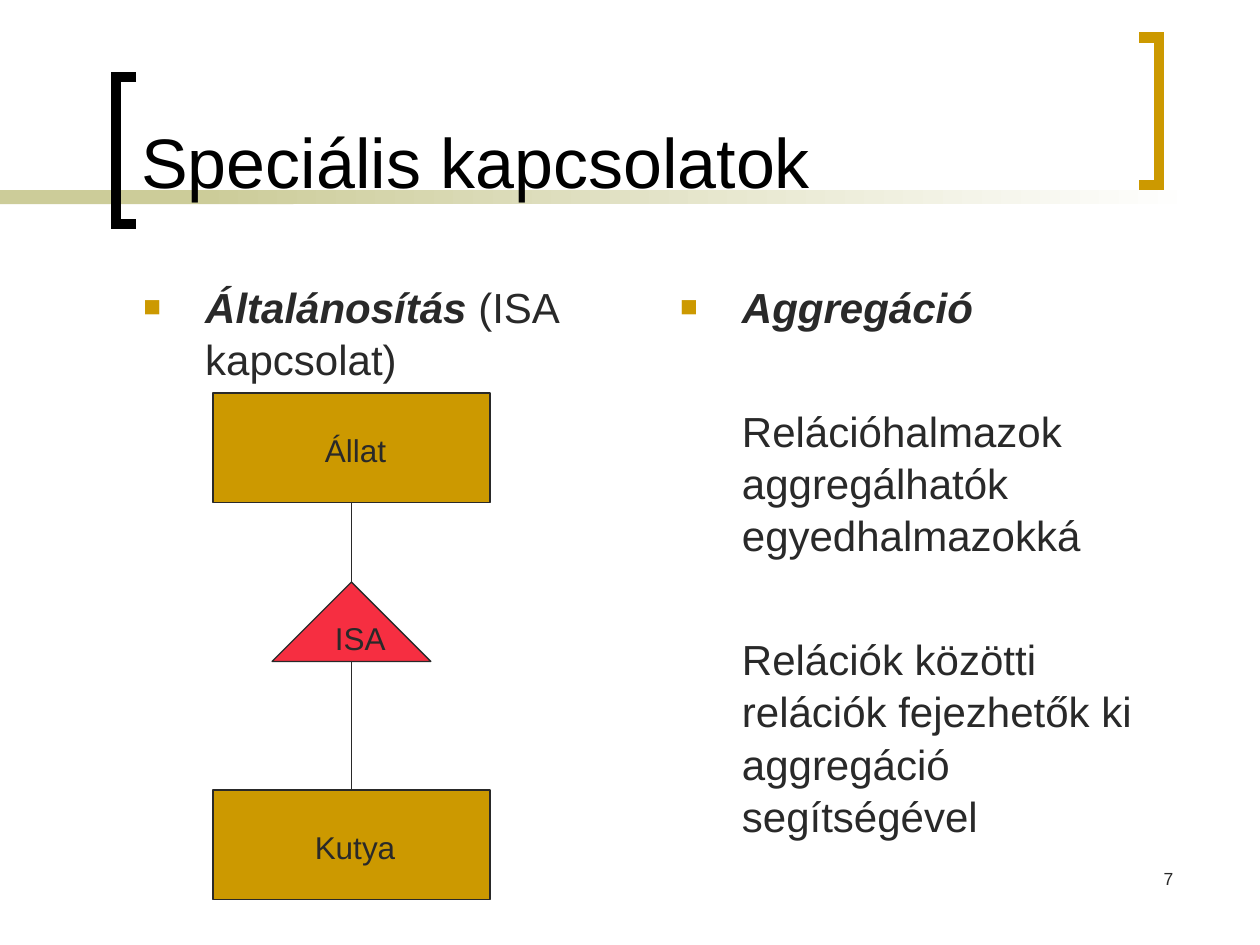
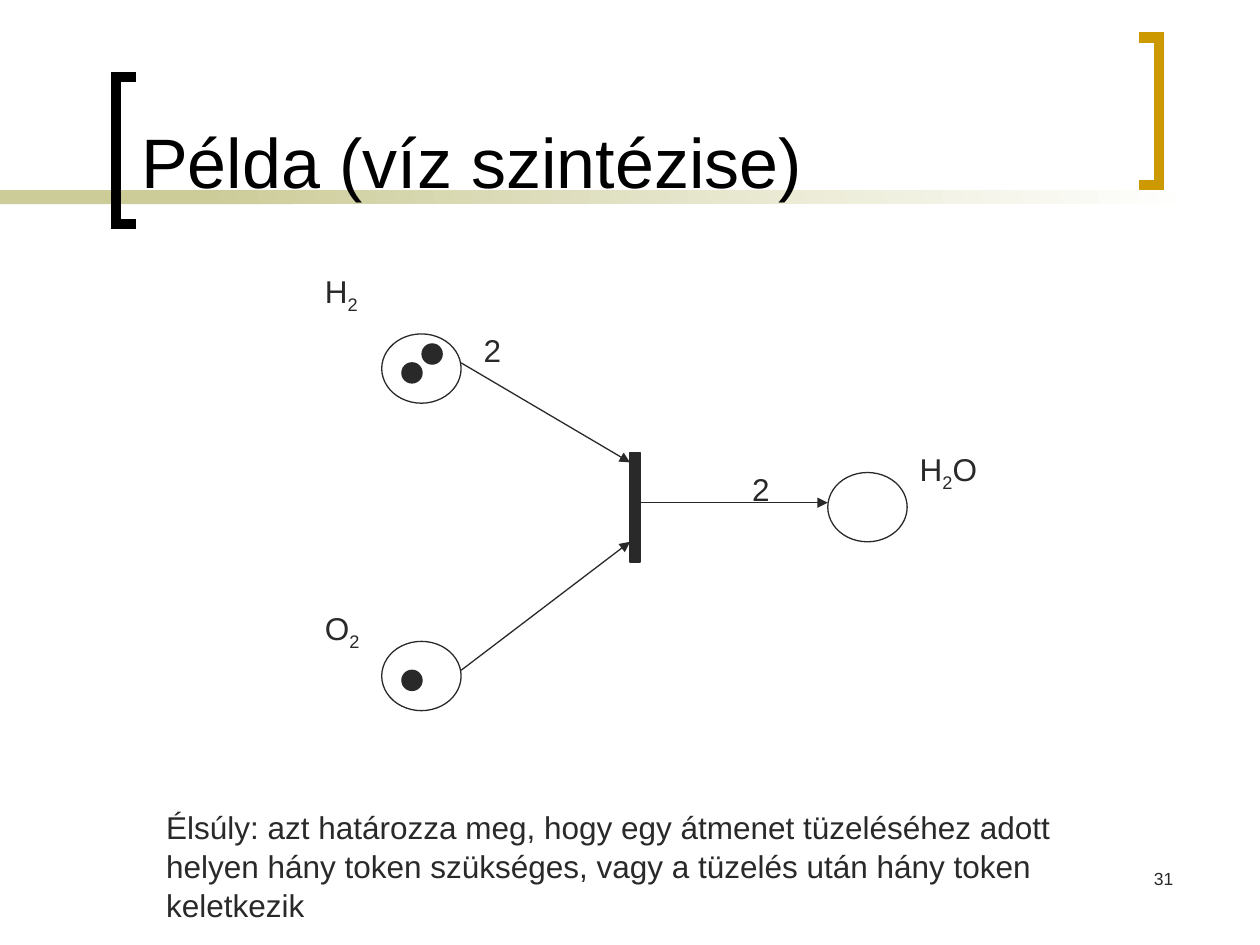
from lxml import etree
from pptx import Presentation
from pptx.dml.color import RGBColor
from pptx.enum.shapes import MSO_CONNECTOR, MSO_SHAPE
from pptx.enum.text import MSO_ANCHOR, PP_ALIGN
from pptx.oxml.ns import qn
from pptx.util import Inches, Pt

RECT, OVAL, TRIANGLE = MSO_SHAPE.RECTANGLE, MSO_SHAPE.OVAL, MSO_SHAPE.ISOSCELES_TRIANGLE
STRAIGHT = MSO_CONNECTOR.STRAIGHT
LEFT, RIGHT = PP_ALIGN.LEFT, PP_ALIGN.RIGHT
BOTTOM = MSO_ANCHOR.BOTTOM

FONT = "Arial"
INK, BLACK, WHITE = "292929", "000000", "FFFFFF"
GOLD, RED, SAND = "CC9900", "F62E41", "CCCC99"
TITLE_ONLY = 5
TOP_SITE, BOTTOM_SITE = 0, 2


def rgb(color):
    return RGBColor.from_string(color)


def xml_child(parent, tag, **attrs):
    return etree.SubElement(parent, qn(tag), attrs)


class Deck:
    """Holds the deck style and the slide being drawn."""

    def __init__(self):
        self.prs = Presentation()
        self.prs.slide_width, self.prs.slide_height = Inches(10), Inches(7.5)
        self.s = None

    def slide(self, title, number):
        self.s = self.prs.slides.add_slide(self.prs.slide_layouts[TITLE_ONLY])
        self.shape(RECT, 0, 1.51, 2.33, 0.11, SAND, None)
        fade = self.shape(RECT, 1.58, 1.51, 7.92, 0.11, SAND, None)
        fade.fill.gradient()
        fade.fill.gradient_angle = 0
        for stop, color in zip(fade.fill.gradient_stops, (SAND, WHITE)):
            stop.color.rgb = rgb(color)
        self.bracket(1.08, 0.92, 0.61, BLACK)
        self.bracket(9.04, 9.2, 0.3, GOLD)
        self.text(7.33, 6.83, 2.08, 0.5, number, 10, RIGHT)
        self.title(title)

    def title(self, text):
        sp = self.s.shapes.title
        self.s.shapes.element.append(sp.element)
        sp.left, sp.top, sp.width, sp.height = map(Inches, (1.02, 0.11, 7.83, 1.55))
        tf = sp.text_frame
        tf.text, tf.vertical_anchor = text, BOTTOM
        p = tf.paragraphs[0]
        p.alignment = LEFT
        self.font(p, 40, BLACK)

    def font(self, p, size, color=INK):
        p.font.name, p.font.size = FONT, Pt(size)
        p.font.color.rgb = rgb(color)

    def bracket(self, tip, spine, top, color):
        bottom = top + 1.17
        points = [(tip, top), (spine, top), (spine, bottom), (tip, bottom)]
        start, *rest = [(Inches(x), Inches(y)) for x, y in points]
        builder = self.s.shapes.build_freeform(*start)
        builder.add_line_segments(rest, close=False)
        sp = builder.convert_to_shape()
        sp.shadow.inherit = False
        sp.fill.background()
        sp.line.color.rgb, sp.line.width = rgb(color), Pt(6)
        xml_child(sp.line._get_or_add_ln(), "a:miter", lim="800000")

    def shape(self, kind, x, y, w, h, fill, line=INK):
        sp = self.s.shapes.add_shape(kind, *map(Inches, (x, y, w, h)))
        sp.shadow.inherit = False
        sp.fill.solid()
        sp.fill.fore_color.rgb = rgb(fill)
        if line:
            sp.line.color.rgb, sp.line.width = rgb(line), Pt(0.75)
        else:
            sp.line.fill.background()
        return sp

    def line(self, start, end, arrow=False):
        c = self.s.shapes.add_connector(STRAIGHT, *map(Inches, (*start, *end)))
        c.line.color.rgb, c.line.width = rgb(INK), Pt(0.75)
        if arrow:
            xml_child(c.line._get_or_add_ln(), "a:tailEnd", type="triangle")
        xml_child(c._element.spPr, "a:effectLst")
        return c

    def box(self, x, y, w, h):
        sp = self.s.shapes.add_textbox(*map(Inches, (x, y, w, h)))
        sp.text_frame.word_wrap = True
        return sp

    def text(self, x, y, w, h, text, size=18, align=LEFT):
        sp = self.box(x, y, w, h)
        p = sp.text_frame.paragraphs[0]
        p.text, p.alignment, p.line_spacing = text, align, 1.04
        self.font(p, size)
        return sp

    def formula(self, x, y, w, text):
        p = self.box(x, y, w, 0.44).text_frame.paragraphs[0]
        p.line_spacing = 1.04
        for char in text:
            r = p.add_run()
            r.text = char
            if char.isdigit():
                r._r.get_or_add_rPr().set("baseline", "-25000")
        self.font(p, 18)

    def column(self, x, term, rest="", details=()):
        tf = self.box(x, 2.17, 4.11, 4.5).text_frame
        p = tf.paragraphs[0]
        self.indent(p, bullet=True)
        r = p.add_run()
        r.text, r.font.bold, r.font.italic = term, True, True
        if rest:
            p.add_run().text = rest
        self.font(p, 24)
        for detail in details:
            p = tf.add_paragraph()
            p.text, p.space_before = detail, Pt(40.7)
            self.indent(p)
            self.font(p, 24)

    def indent(self, p, bullet=False):
        p.line_spacing = 1.04
        pPr = p._p.get_or_add_pPr()
        pPr.set("marL", str(Inches(0.49)))
        pPr.set("indent", str(-Inches(0.49) if bullet else 0))
        if bullet:
            xml_child(xml_child(pPr, "a:buClr"), "a:srgbClr", val=GOLD)
            xml_child(pPr, "a:buSzPct", val="70000")
            xml_child(pPr, "a:buFont", typeface=FONT)
            xml_child(pPr, "a:buChar", char="■")

    def entity(self, y, name, x, w):
        rect = self.shape(RECT, 1.69, y, 2.2, 0.87, GOLD)
        label = self.text(x, y + 0.24, w, 0.4, name)
        self.s.shapes.add_group_shape([rect, label])
        return rect

    def place(self, x, y, tokens=()):
        self.shape(OVAL, x, y, 0.63, 0.55, WHITE)
        for dx, dy in tokens:
            self.shape(OVAL, x + dx, y + dy, 0.16, 0.16, INK)


def special_relations(deck):
    deck.slide("Speciális kapcsolatok", "7")
    deck.column(1.04, "Általánosítás", " (ISA kapcsolat)")
    deck.column(5.3, "Aggregáció", details=(
        "Relációhalmazok aggregálhatók egyedhalmazokká",
        "Relációk közötti relációk fejezhetők ki aggregáció segítségével"))
    animal = deck.entity(3.12, "Állat", 2.48, 0.71)
    dog = deck.entity(6.27, "Kutya", 2.4, 0.87)
    isa = deck.shape(TRIANGLE, 2.16, 4.62, 1.26, 0.63, RED)
    deck.s.shapes.add_group_shape([isa, deck.text(2.56, 4.85, 0.71, 0.4, "ISA")])
    deck.line((2.79, 6.27), (2.79, 5.25)).begin_connect(dog, TOP_SITE)
    deck.line((2.79, 4.62), (2.79, 3.99)).end_connect(animal, BOTTOM_SITE)


def water_synthesis(deck):
    deck.slide("Példa (víz szintézise)", "31")
    deck.shape(RECT, 5, 3.59, 0.08, 0.87, INK)
    deck.place(3.03, 2.65, [(0.16, 0.23), (0.32, 0.08)])
    deck.place(3.03, 5.09, [(0.16, 0.23)])
    deck.place(6.57, 3.75)
    for start, end in (((3.66, 2.88), (5, 3.67)),
                       ((3.66, 5.32), (5, 4.3)),
                       ((5.08, 3.99), (6.57, 3.99))):
        deck.line(start, end, arrow=True)
    for x, y, w, name in ((2.48, 2.1, 0.55, "H2"),
                          (2.48, 4.77, 0.63, "O2"),
                          (7.2, 3.51, 0.71, "H2O")):
        deck.formula(x, y, w, name)
    for x, y in ((3.74, 2.57), (5.87, 3.67)):
        deck.text(x, y, 0.39, 0.4, "2")
    deck.text(1.22, 6.35, 7.72, 1,
              "Élsúly: azt határozza meg, hogy egy átmenet tüzeléséhez adott helyen "
              "hány token szükséges, vagy a tüzelés után hány token keletkezik")


def main():
    deck = Deck()
    special_relations(deck)
    water_synthesis(deck)
    deck.prs.save("out.pptx")


if __name__ == "__main__":
    main()
